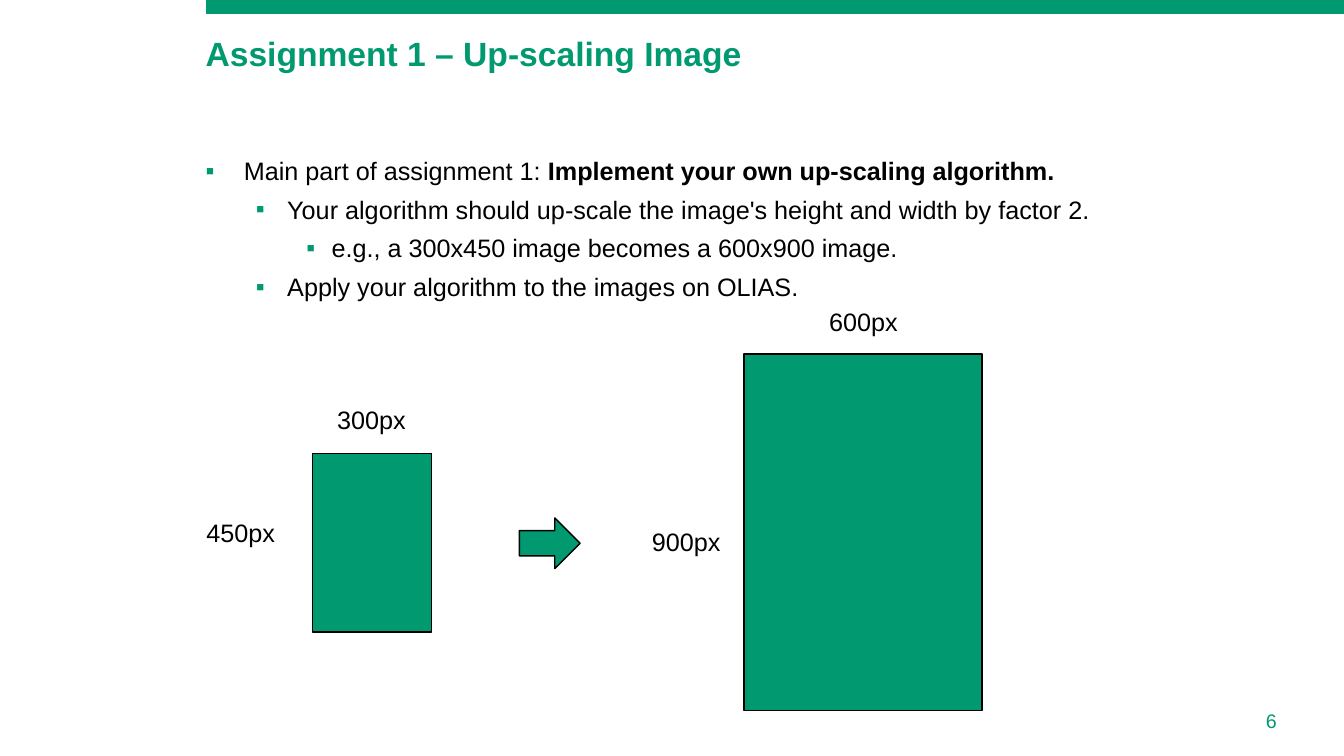
"""Build the up-scaling assignment slide on a grid whose cell stands for 150 image pixels."""
from dataclasses import dataclass

from lxml import etree
from pptx import Presentation
from pptx.dml.color import RGBColor
from pptx.enum.shapes import MSO_SHAPE
from pptx.enum.text import MSO_ANCHOR, PP_ALIGN
from pptx.oxml.ns import qn
from pptx.slide import Slide
from pptx.text.text import _Paragraph
from pptx.util import Inches, Pt

RECTANGLE, ARROW = MSO_SHAPE.RECTANGLE, MSO_SHAPE.RIGHT_ARROW
TOP, MIDDLE = MSO_ANCHOR.TOP, MSO_ANCHOR.MIDDLE
LEFT, CENTER, RIGHT = PP_ALIGN.LEFT, PP_ALIGN.CENTER, PP_ALIGN.RIGHT

CELL = 0.59
FONT = "Arial"
COLOURS = {"green": "009970", "black": "000000"}


@dataclass(frozen=True)
class Area:
    column: float
    row: float
    columns: float
    rows: float

    def emu(self) -> list[int]:
        return [Inches(cells * CELL) for cells in (self.column, self.row, self.columns, self.rows)]


@dataclass(frozen=True)
class Block:
    area: Area
    line: str = "black"
    line_width: float = 1
    kind: MSO_SHAPE = RECTANGLE


@dataclass(frozen=True)
class Label:
    text: str
    area: Area
    size: int = 18
    colour: str = "black"
    bold: bool = False
    align: PP_ALIGN = CENTER
    anchor: MSO_ANCHOR = TOP
    wrap: bool = False


@dataclass(frozen=True)
class Bullet:
    level: int
    text: str
    strong: str = ""


BLOCKS = [
    Block(Area(3.47, 0, 19.14, 0.22), "green", 0.75),
    Block(Area(8.73, 8.71, 1.02, 0.85), kind=ARROW),
    Block(Area(12.51, 5.95, 4, 6)),
    Block(Area(5.25, 7.63, 2, 3)),
]
LABELS = [
    Label("Assignment 1 – Up-scaling Image", Area(3.29, 0.22, 18.32, 1.34),
          24, "green", True, LEFT, MIDDLE, True),
    Label("6", Area(18.95, 11.83, 2.68, 0.66), 14, "green", align=RIGHT, wrap=True),
    Label("900px", Area(10.61, 8.76, 1.85, 0.88)),
    Label("600px", Area(13.59, 5.07, 1.85, 0.88)),
    Label("300px", Area(5.49, 6.71, 1.51, 0.68)),
    Label("450px", Area(3.29, 8.61, 1.51, 0.68)),
]
BODY = Area(3.29, 2.53, 18.66, 5.36)
INDENTS = [(0.38, 0.38), (0.81, 0.31), (1.25, 0.25)]
BULLETS = [
    Bullet(0, "Main part of assignment 1: ", "Implement your own up-scaling algorithm."),
    Bullet(1, "Your algorithm should up-scale the image's height and width by factor 2."),
    Bullet(2, "e.g., a 300x450 image becomes a 600x900 image."),
    Bullet(1, "Apply your algorithm to the images on OLIAS."),
]


def colour(name: str) -> RGBColor:
    return RGBColor.from_string(COLOURS[name])


def set_font(paragraph: _Paragraph, size: int, name: str) -> None:
    paragraph.font.name = FONT
    paragraph.font.size = Pt(size)
    paragraph.font.color.rgb = colour(name)


def draw_block(page: Slide, block: Block) -> None:
    shape = page.shapes.add_shape(block.kind, *block.area.emu())
    shape.shadow.inherit = False
    shape.fill.solid()
    shape.fill.fore_color.rgb = colour("green")
    shape.line.color.rgb = colour(block.line)
    shape.line.width = Pt(block.line_width)


def draw_label(page: Slide, label: Label) -> None:
    frame = page.shapes.add_textbox(*label.area.emu()).text_frame
    frame.word_wrap = label.wrap
    frame.vertical_anchor = label.anchor
    paragraph = frame.paragraphs[0]
    paragraph.text = label.text
    paragraph.alignment = label.align
    paragraph.font.bold = label.bold
    set_font(paragraph, label.size, label.colour)


def add_marker(paragraph: _Paragraph, level: int) -> None:
    margin, hanging = INDENTS[level]
    properties = paragraph._p.get_or_add_pPr()
    properties.set("marL", str(Inches(margin)))
    properties.set("indent", str(-Inches(hanging)))
    tint = etree.SubElement(properties, qn("a:buClr"))
    etree.SubElement(tint, qn("a:srgbClr"), val=COLOURS["green"])
    etree.SubElement(properties, qn("a:buFont"), typeface=FONT)
    etree.SubElement(properties, qn("a:buChar"), char="▪")


def draw_bullets(page: Slide, area: Area, bullets: list[Bullet]) -> None:
    frame = page.shapes.add_textbox(*area.emu()).text_frame
    frame.word_wrap = True
    for index, bullet in enumerate(bullets):
        paragraph = frame.add_paragraph() if index else frame.paragraphs[0]
        paragraph.level = bullet.level
        paragraph.space_after = Pt(6)
        add_marker(paragraph, bullet.level)
        set_font(paragraph, 18, "black")
        paragraph.add_run().text = bullet.text
        if bullet.strong:
            span = paragraph.add_run()
            span.text = bullet.strong
            span.font.bold = True


def main() -> None:
    deck = Presentation()
    deck.slide_width, deck.slide_height = Inches(13.33), Inches(7.5)
    page = deck.slides.add_slide(deck.slide_layouts[6])
    for block in BLOCKS:
        draw_block(page, block)
    draw_bullets(page, BODY, BULLETS)
    for label in LABELS:
        draw_label(page, label)
    deck.save("out.pptx")


if __name__ == "__main__":
    main()
